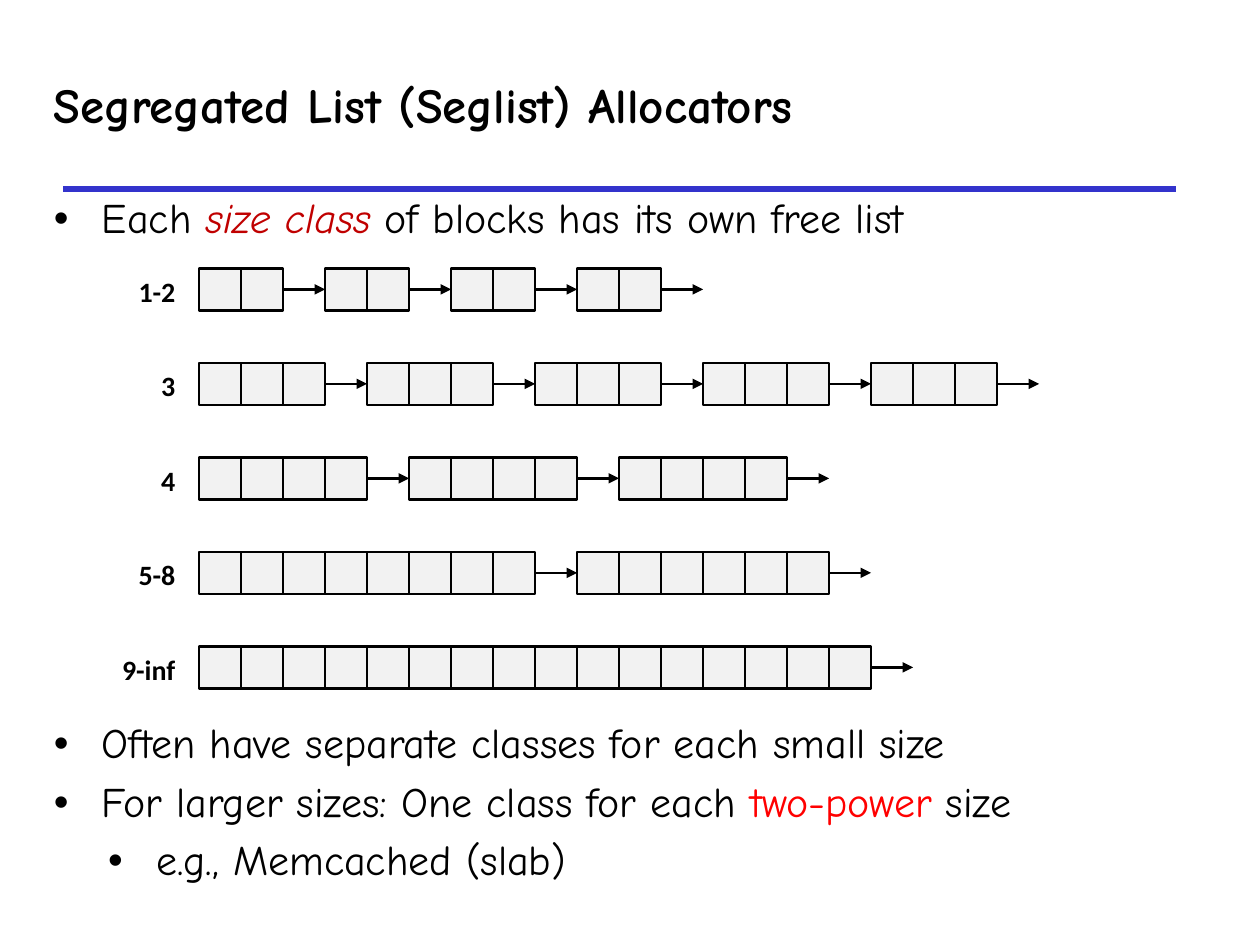
from dataclasses import dataclass

from lxml.etree import SubElement
from pptx import Presentation
from pptx.dml.color import RGBColor
from pptx.enum.shapes import MSO_CONNECTOR, MSO_SHAPE
from pptx.enum.text import MSO_ANCHOR, PP_ALIGN
from pptx.oxml.ns import qn
from pptx.util import Inches, Pt


@dataclass(frozen=True)
class Theme:
    black: str = "000000"
    rule: str = "3333CC"
    cell: str = "F2F2F2"
    term: str = "C00000"
    accent: str = "FF0000"
    text_font: str = "Comic Neue"
    label_font: str = "Calibri"
    title_size: int = 28
    body_size: int = 24
    label_size: int = 16
    bullet_gap: int = 6
    rule_width: float = 3
    line_width: float = 1.5


THEME = Theme()
CELL = 1 / 3
LISTS_LEFT, LISTS_TOP, LIST_PITCH = 1.58, 2.13, 0.75
LABEL_RIGHT = 1.49

# Size class, label width, cells in each free block
FREE_LISTS = [
    ("1-2", 0.49, [2, 2, 2, 2]),
    ("3", 0.32, [3, 3, 3, 3, 3]),
    ("4", 0.32, [4, 4, 4]),
    ("5-8", 0.49, [8, 6]),
    ("9-inf", 0.63, [16]),
]

# Each bullet: level and runs of (text, colour, italic)
INTRO = [
    (0, [("Each ", THEME.black, False),
         ("size class ", THEME.term, True),
         ("of blocks has its own free list", THEME.black, False)]),
]
NOTES = [
    (0, [("Often have separate classes for each small size", THEME.black, False)]),
    (0, [("For larger sizes: One class for each ", THEME.black, False),
         ("two-power", THEME.accent, False),
         (" size", THEME.black, False)]),
    (1, [("e.g., Memcached (slab)", THEME.black, False)]),
]


def add_text_box(page, left, top, width, height, wrap=True):
    box = page.shapes.add_textbox(Inches(left), Inches(top), Inches(width), Inches(height))
    box.text_frame.word_wrap = wrap
    return box.text_frame


def add_span(para, text, font, size, color=THEME.black, bold=False, italic=False):
    span = para.add_run()
    span.text = text
    span.font.name = font
    span.font.size = Pt(size)
    span.font.bold = bold
    span.font.italic = italic
    span.font.color.rgb = RGBColor.from_string(color)


def set_bullet(para, level):
    para.level = level
    properties = para._p.get_or_add_pPr()
    properties.set("marL", str(Inches(0.81 if level else 0.38)))
    properties.set("indent", str(Inches(-0.38)))
    SubElement(properties, qn("a:buFont")).set("typeface", "Arial")
    SubElement(properties, qn("a:buChar")).set("char", "•")


def add_bullets(page, top, height, bullets):
    frame = add_text_box(page, 0.33, top, 9.09, height)
    for index, (level, spans) in enumerate(bullets):
        para = frame.add_paragraph() if index else frame.paragraphs[0]
        set_bullet(para, level)
        para.line_spacing = 0.95
        para.space_before = Pt(THEME.bullet_gap if index else 0)
        for text, color, italic in spans:
            add_span(para, text, THEME.text_font, THEME.body_size, color, italic=italic)


def add_title(page, text):
    frame = add_text_box(page, 0.33, 0.54, 9, 0.63)
    frame.vertical_anchor = MSO_ANCHOR.MIDDLE
    para = frame.paragraphs[0]
    para.line_spacing = 0.87
    add_span(para, text, THEME.text_font, THEME.title_size, bold=True)


def add_line(page, start, end, color, width):
    line = page.shapes.add_connector(
        MSO_CONNECTOR.STRAIGHT, *(Inches(value) for value in (*start, *end)))
    line.line.color.rgb = RGBColor.from_string(color)
    line.line.width = Pt(width)
    SubElement(line._element.spPr, qn("a:effectLst"))
    return line


def add_arrow(page, left, middle, source, target=None):
    """Point from the source cell to the target cell, or into the open."""
    arrow = add_line(page, (left, middle), (left + CELL, middle),
                     THEME.black, THEME.line_width)
    SubElement(arrow.line._get_or_add_ln(), qn("a:tailEnd")).set("type", "triangle")
    arrow.begin_connect(source, 3)
    if target is not None:
        arrow.end_connect(target, 1)


def add_cell(page, left, top):
    cell = page.shapes.add_shape(
        MSO_SHAPE.RECTANGLE, Inches(left), Inches(top), Inches(CELL), Inches(CELL))
    cell.shadow.inherit = False
    cell.fill.solid()
    cell.fill.fore_color.rgb = RGBColor.from_string(THEME.cell)
    cell.line.color.rgb = RGBColor.from_string(THEME.black)
    cell.line.width = Pt(THEME.line_width)
    return cell


def add_label(page, text, top, width):
    frame = add_text_box(page, LABEL_RIGHT - width, top, width, 0.37, wrap=False)
    para = frame.paragraphs[0]
    para.alignment = PP_ALIGN.RIGHT
    add_span(para, text, THEME.label_font, THEME.label_size, bold=True)


def add_free_list(page, top, blocks):
    """Draw blocks of cells, each followed by a one-cell-wide arrow."""
    left, middle = LISTS_LEFT, top + CELL / 2
    last = None
    for count in blocks:
        cells = [add_cell(page, left + index * CELL, top) for index in range(count)]
        if last is not None:
            add_arrow(page, left - CELL, middle, last, cells[0])
        last = cells[-1]
        left += (count + 1) * CELL
    add_arrow(page, left - CELL, middle, last)


def main():
    deck = Presentation()
    deck.slide_width, deck.slide_height = Inches(10), Inches(7.5)
    page = deck.slides.add_slide(deck.slide_layouts[6])

    add_line(page, (0.5, 1.5), (9.33, 1.5), THEME.rule, THEME.rule_width)
    add_title(page, "Segregated List (Seglist) Allocators")
    add_bullets(page, 1.5, 0.5, INTRO)
    for row, (label, width, blocks) in enumerate(FREE_LISTS):
        top = LISTS_TOP + row * LIST_PITCH
        add_label(page, label, top, width)
        add_free_list(page, top, blocks)
    add_bullets(page, 5.67, 1.5, NOTES)

    deck.save("out.pptx")


if __name__ == "__main__":
    main()
